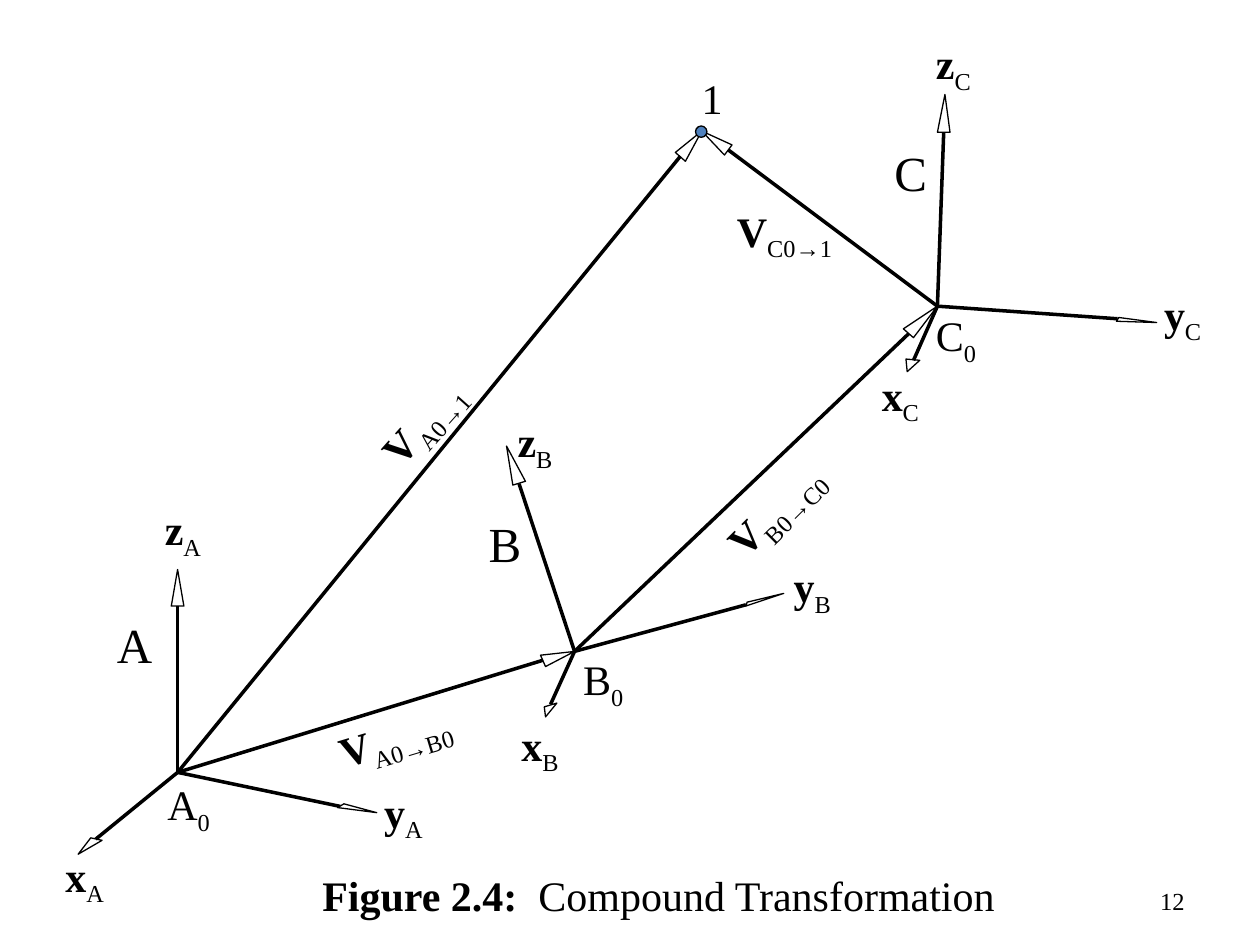
from dataclasses import dataclass
from typing import Any

from lxml import etree
from pptx import Presentation
from pptx import util as u
from pptx.dml.color import RGBColor
from pptx.enum import shapes, text
from pptx.oxml.ns import qn

SCALE = 9144
FONT = "Times New Roman"
COLORS = {"ink": "000000", "point": "4F81BD"}
Point = tuple[int, int]


@dataclass(frozen=True)
class Arrow:
    """A shaft from origin to neck and a hollow three-cornered head."""
    origin: Point
    neck: Point
    head: tuple[Point, Point, Point]


@dataclass(frozen=True)
class Label:
    """A main word with an optional second run, placed by its box."""
    left: int
    top: int
    width: int
    main: str
    tail: str = ""
    bold: bool = False
    size: int = 24
    height: int = 50
    rotation: float = 0
    wrap: bool = True
    subscript: bool = True


A0, B0, C0, TARGET = (141, 613), (456, 517), (744, 243), (557, 104)

ARROWS = [
    Arrow(A0, (270, 640), ((273, 638), (268, 641), (299, 645))),
    Arrow(A0, (76, 666), ((81, 667), (72, 665), (62, 678))),
    Arrow(A0, (141, 481), ((136, 481), (146, 481), (141, 452))),
    Arrow(B0, (592, 480), ((593, 478), (592, 481), (622, 471))),
    Arrow(B0, (437, 559), ((442, 558), (432, 561), (433, 569))),
    Arrow(B0, (412, 384), ((407, 385), (417, 382), (402, 354))),
    Arrow(C0, (887, 253), ((888, 252), (886, 255), (918, 256))),
    Arrow(C0, (725, 286), ((730, 286), (719, 285), (720, 295))),
    Arrow(C0, (749, 105), ((744, 105), (754, 105), (750, 75))),
    Arrow(C0, (578, 119), ((581, 115), (575, 123), TARGET)),
    Arrow(A0, (540, 124), ((536, 121), (544, 128), TARGET)),
    Arrow(B0, (721, 265), ((717, 261), (725, 268), C0)),
    Arrow(A0, (431, 524), ((429, 520), (433, 529), B0)),
]

AXES = {
    "A": {"x": (42, 670), "y": (295, 619), "z": (121, 395)},
    "B": {"x": (404, 566), "y": (620, 440), "z": (401, 325)},
    "C": {"x": (690, 288), "y": (914, 224), "z": (733, 25)},
}

LABELS = [
    *(Label(left, top, 53, axis, frame, bold=True)
      for frame, axes in AXES.items() for axis, (left, top) in axes.items()),
    Label(123, 613, 55, "A", "0"),
    Label(453, 514, 53, "B", "0"),
    Label(733, 241, 53, "C", "0"),
    Label(83, 483, 48, "A", size=28, height=57, wrap=False),
    Label(378, 403, 46, "B", size=28, height=57, wrap=False),
    Label(700, 108, 46, "C", size=28, height=57, wrap=False),
    Label(258, 558, 119, "V", "A0→B0", bold=True, rotation=343.3),
    Label(282, 301, 119, "V", "A0→1", bold=True, rotation=311.7),
    Label(558, 375, 119, "V", "B0→C0", bold=True, rotation=315.2),
    Label(575, 158, 119, "V", "C0→1", bold=True),
    Label(547, 53, 37, "1", wrap=False),
    Label(246, 685, 556, "Figure 2.4: ", " Compound Transformation", bold=True,
          wrap=False, subscript=False),
]


def px(*lengths: int) -> list[u.Emu]:
    """Turn px lengths into EMU."""
    return [u.Emu(length * SCALE) for length in lengths]


def apply(target: Any, values: dict[str, Any]) -> None:
    """Set each named attribute on the target."""
    for name, value in values.items():
        setattr(target, name, value)


def set_line(shape: Any, width: float = 0) -> None:
    """Give a shape a solid ink line."""
    shape.line.color.rgb = RGBColor.from_string(COLORS["ink"])
    shape.line.width = u.Pt(width)


def draw_arrow(slide: Any, arrow: Arrow) -> None:
    """Draw the shaft and the hollow head of an arrow."""
    shaft = slide.shapes.add_connector(
        shapes.MSO_CONNECTOR.STRAIGHT, *px(*arrow.origin, *arrow.neck))
    set_line(shaft)
    etree.SubElement(shaft.element.spPr, qn("a:effectLst"))
    builder = slide.shapes.build_freeform(*arrow.head[0], scale=SCALE)
    builder.add_line_segments(arrow.head[1:], close=True)
    head = builder.convert_to_shape()
    head.fill.background()
    head.shadow.inherit = False
    set_line(head)


def add_run(paragraph: Any, content: str, size: int, bold: bool = False,
            subscript: bool = False) -> None:
    """Append a formatted run to a paragraph."""
    run = paragraph.add_run()
    run.text = content
    apply(run.font, {"name": FONT, "size": u.Pt(size), "bold": bold})
    run.font.color.rgb = RGBColor.from_string(COLORS["ink"])
    if subscript:
        run._r.get_or_add_rPr().set("baseline", "-25000")


def draw_label(slide: Any, label: Label) -> None:
    """Draw a label whose box grows with its text."""
    shape = slide.shapes.add_textbox(
        *px(label.left, label.top, label.width, label.height))
    shape.rotation = label.rotation
    apply(shape.text_frame, {"word_wrap": label.wrap,
                             "auto_size": text.MSO_AUTO_SIZE.SHAPE_TO_FIT_TEXT})
    paragraph = shape.text_frame.paragraphs[0]
    add_run(paragraph, label.main, label.size, label.bold)
    if label.tail:
        add_run(paragraph, label.tail, label.size, subscript=label.subscript)


def draw_target(slide: Any) -> None:
    """Draw the dot at the target point."""
    dot = slide.shapes.add_shape(shapes.MSO_SHAPE.OVAL, *px(552, 100, 9, 9))
    dot.fill.solid()
    dot.fill.fore_color.rgb = RGBColor.from_string(COLORS["point"])
    dot.shadow.inherit = False
    set_line(dot, 0.75)


def draw_page_number(slide: Any, number: str) -> None:
    """Draw the right-aligned page number."""
    shape = slide.shapes.add_textbox(*px(717, 695, 233, 40))
    apply(shape.text_frame, {"word_wrap": True,
                             "vertical_anchor": text.MSO_ANCHOR.MIDDLE})
    paragraph = shape.text_frame.paragraphs[0]
    paragraph.alignment = text.PP_ALIGN.RIGHT
    add_run(paragraph, number, 14)


def main() -> None:
    """Build the compound transformation slide."""
    presentation = Presentation()
    width, height = px(1000, 750)
    apply(presentation, {"slide_width": width, "slide_height": height})
    slide = presentation.slides.add_slide(presentation.slide_layouts[6])
    for arrow in ARROWS:
        draw_arrow(slide, arrow)
    for label in LABELS:
        draw_label(slide, label)
    draw_target(slide)
    draw_page_number(slide, "12")
    presentation.save("out.pptx")


if __name__ == "__main__":
    main()
